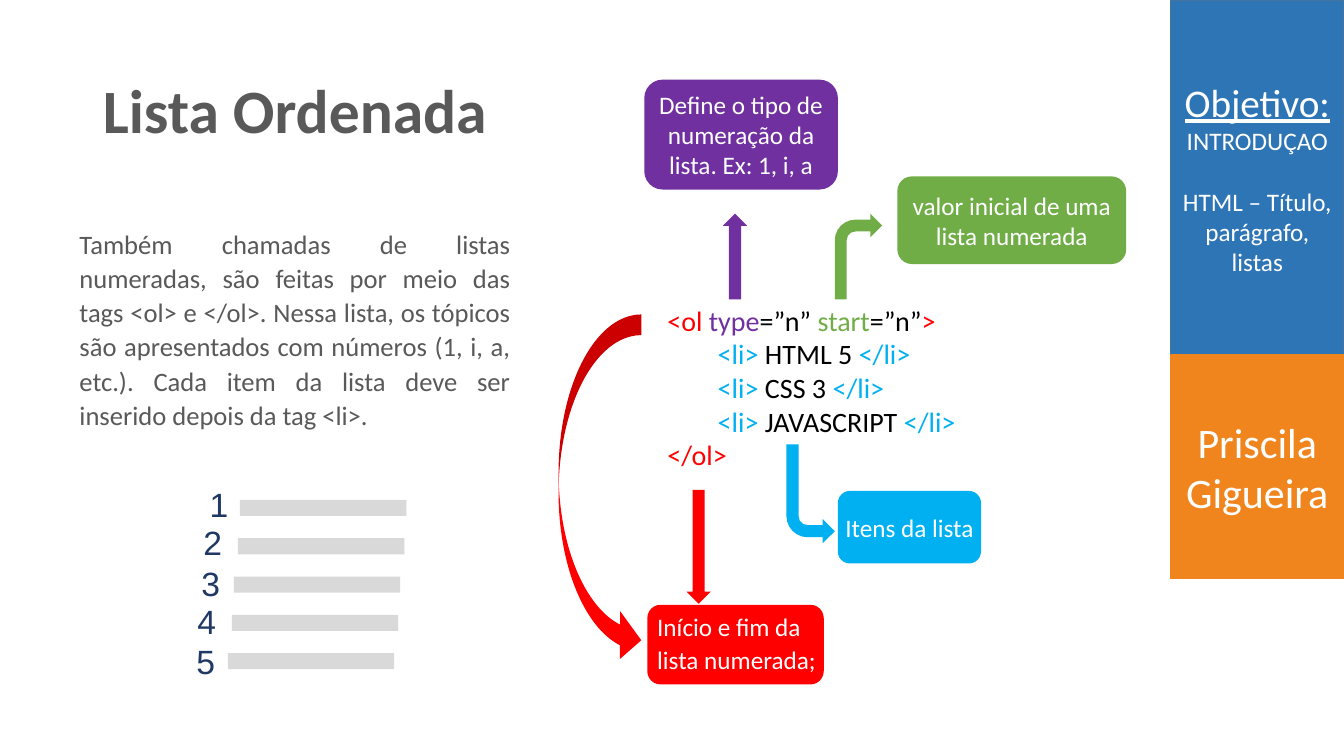
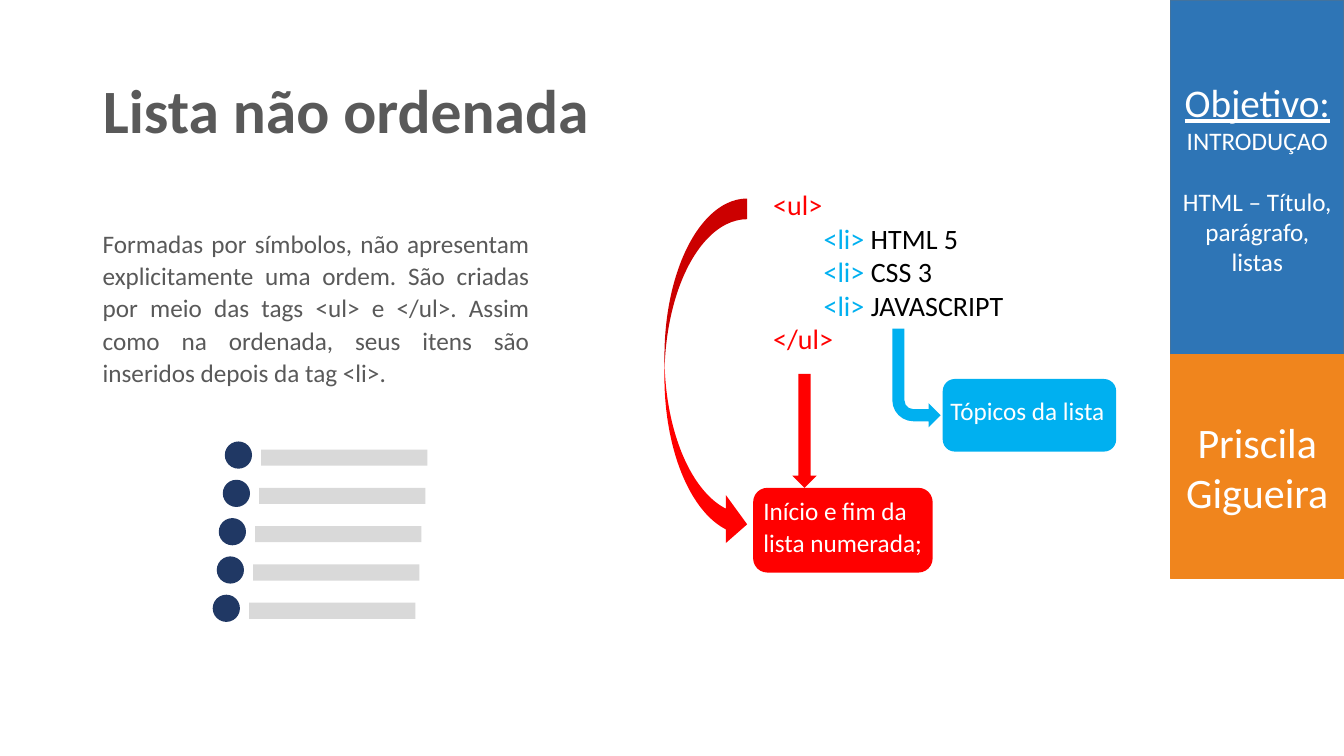
import pptx
import pptx.dml.color
import pptx.enum.shapes
import pptx.enum.text
import pptx.util

SHAPE = pptx.enum.shapes.MSO_SHAPE
ALIGN = pptx.enum.text.PP_ALIGN
ANCHOR = pptx.enum.text.MSO_ANCHOR
EMU_PER_PX = 9144  # 100 px to the inch

FONT = "Calibri"
WHITE, BLACK, GREY, PALE, NAVY = "FFFFFF", "000000", "595959", "D9D9D9", "203864"
RED, CYAN, GREEN, PURPLE = "FF0000", "00B0F0", "70AD47", "7030A0"

# Paragraphs are a string, or a list of (text, colour) runs.
SIDEBAR = [
    dict(box=(1161, 0, 172, 352), fill="2E75B6", line="43739E", parts=[
        ("Objetivo:", dict(size=28, underline=True)),
        ("INTRODUÇAO", dict(size=18)),
        ("HTML – Título, parágrafo, listas", dict(size=18, before=22)),
    ]),
    dict(box=(1161, 352, 172, 222), fill="F0851D", line="F0851D", parts=[
        ("Priscila Gigueira", dict(size=30)),
    ]),
]
TAG_LABEL = "Início e fim da lista numerada;"

ORDERED = dict(
    title="Lista Ordenada",
    body="Também chamadas de listas numeradas, são feitas por meio das tags <ol> e </ol>. "
         "Nessa lista, os tópicos são apresentados com números (1, i, a, etc.). "
         "Cada item da lista deve ser inserido depois da tag <li>.",
    body_box=(69, 219, 447, 214), body_size=19,
    bars_at=(238, 496),
    code_box=(652, 296, 369, 178),
    code=[
        [("<ol ", RED), ("type", PURPLE), ("=”n” ", BLACK), ("start", GREEN),
         ("=”n”", BLACK), (">", RED)],
        [("\t<li>", CYAN), (" HTML 5 ", BLACK), ("</li>", CYAN)],
        [("\t<li> ", CYAN), ("CSS 3 ", BLACK), ("</li>", CYAN)],
        [("\t<li> ", CYAN), ("JAVASCRIPT ", BLACK), ("</li>", CYAN)],
        [("</ol>", RED)],
    ],
    tag_box=(642, 600, 175, 79),
    item_box=(831, 487, 142, 72), item_label="Itens da lista", item_margins=(0, 0, 0, 0),
)
UNORDERED = dict(
    title="Lista não ordenada",
    body="Formadas por símbolos, não apresentam explicitamente uma ordem. "
         "São criadas por meio das tags <ul> e </ul>. Assim como na ordenada, "
         "seus itens são inseridos depois da tag <li>.",
    body_box=(92, 219, 443, 172), body_size=18,
    bars_at=(259, 446),
    code_box=(757, 181, 332, 178),
    code=[
        [("<ul>", RED)],
        [("\t<li>", CYAN), (" HTML 5", BLACK)],
        [("\t<li> ", CYAN), ("CSS 3", BLACK)],
        [("\t<li> ", CYAN), ("JAVASCRIPT", BLACK)],
        [("</ul>", RED)],
    ],
    tag_box=(747, 484, 178, 84),
    item_box=(935, 376, 172, 72), item_label="Tópicos da lista", item_margins=(0, 0, 4, 10),
)

BAR_SHIFTS = (0, 2, 6, 8, 12)
BAR_STEP = 38
NUMBERS = [("1", 198, 475), ("2", 192, 513), ("3", 190, 554), ("4", 186, 591), ("5", 185, 631)]

# Offsets from the top left of the code.
TAG_ARROWS = [
    (SHAPE.DOWN_ARROW, (29, 190, 24, 113), RED, {}),
    (SHAPE.BENT_ARROW, (128, 145, 48, 98), CYAN, dict(flip=True)),
    (SHAPE.CURVED_RIGHT_ARROW, (-98, 16, 82, 347), RED, dict(adjust=(0.25, 0.58, 0.257))),
]
ATTRIBUTE_LABELS = [
    ("valor inicial de uma lista numerada", (890, 175, 227, 87), GREEN),
    ("Define o tipo de numeração da lista. Ex: 1, i, a", (639, 79, 192, 109), PURPLE),
]
ATTRIBUTE_ARROWS = [
    (SHAPE.UP_ARROW, (717, 212, 24, 85), PURPLE),
    (SHAPE.BENT_ARROW, (828, 212, 47, 85), GREEN),
]


def px(value):
    return pptx.util.Emu(value * EMU_PER_PX)


def rgb(value):
    return pptx.dml.color.RGBColor.from_string(value)


def place(shape, box):
    shape.left, shape.top, shape.width, shape.height = map(px, box)


def add_box(slide, kind, box, fill, line=None, adjust=(), flip=False):
    shape = slide.shapes.add_shape(kind, *map(px, box))
    shape.shadow.inherit = False
    shape.fill.solid()
    shape.fill.fore_color.rgb = rgb(fill)
    if line:
        shape.line.color.rgb = rgb(line)
        shape.line.width = pptx.util.Pt(1)
    else:
        shape.line.fill.background()
    for index, value in enumerate(adjust):
        shape.adjustments[index] = value
    if flip:
        shape.element.spPr.get_or_add_xfrm().set("flipV", "1")
    return shape


def write(frame, text, size=18, color=WHITE, font=FONT, bold=False, underline=False,
          align=ALIGN.LEFT, spacing=None, before=None):
    """Add one paragraph, reusing the first one while it is empty."""
    paragraph = frame.paragraphs[0]
    if paragraph.runs:
        paragraph = frame.add_paragraph()
    paragraph.alignment = align
    if spacing:
        paragraph.line_spacing = spacing
    if before:
        paragraph.space_before = pptx.util.Pt(before)
    for words, run_color in [(text, color)] if isinstance(text, str) else text:
        run = paragraph.add_run()
        run.text = words
        run.font.name = font
        run.font.size = pptx.util.Pt(size)
        run.font.bold = bold
        run.font.underline = underline
        run.font.color.rgb = rgb(run_color)


def set_frame(frame, wrap=True, anchor=ANCHOR.MIDDLE, margins=(10, 5, 10, 5)):
    frame.word_wrap = wrap
    frame.vertical_anchor = anchor
    (frame.margin_left, frame.margin_top,
     frame.margin_right, frame.margin_bottom) = map(px, margins)


def add_text(slide, box, paragraphs, wrap=True, **style):
    frame = slide.shapes.add_textbox(*map(px, box)).text_frame
    set_frame(frame, wrap, ANCHOR.TOP)
    for paragraph in paragraphs:
        write(frame, paragraph, **style)


def add_label(slide, box, fill, text, wrap=True, anchor=ANCHOR.MIDDLE,
              margins=(6, 0, 6, 0), **style):
    frame = add_box(slide, SHAPE.ROUNDED_RECTANGLE, box, fill).text_frame
    set_frame(frame, wrap, anchor, margins)
    write(frame, text, **style)


def move_sidebar_to_layout(slide, layout):
    """Draw the side bands once and hand them to the shared layout."""
    for number, band in enumerate(SIDEBAR):
        shape = add_box(slide, SHAPE.RECTANGLE, band["box"], band["fill"], band["line"])
        set_frame(shape.text_frame)
        for text, style in band["parts"]:
            write(shape.text_frame, text, align=ALIGN.CENTER, **style)
        shape.element.nvSpPr.cNvPr.set("id", str(20 + number))
        layout.shapes.element.append(shape.element)


def add_list_slide(presentation, layout, content):
    slide = presentation.slides.add_slide(layout)
    title = slide.shapes.title.text_frame
    title.auto_size = pptx.enum.text.MSO_AUTO_SIZE.NONE
    set_frame(title)
    write(title, content["title"], size=44, color=GREY, bold=True, spacing=0.9)
    add_text(slide, content["body_box"], [content["body"]], size=content["body_size"],
             color=GREY, align=ALIGN.JUSTIFY, spacing=1.07)
    for left, top in bar_positions(content):
        add_box(slide, SHAPE.RECTANGLE, (left, top, 165, 16), PALE)

    add_label(slide, content["tag_box"], RED, TAG_LABEL, anchor=ANCHOR.TOP,
              margins=(6, 1, 0, 0), spacing=1.07)
    add_label(slide, content["item_box"], CYAN, content["item_label"], wrap=False,
              margins=content["item_margins"], align=ALIGN.CENTER)
    add_text(slide, content["code_box"], content["code"], size=20)
    code_left, code_top = content["code_box"][:2]
    for kind, (left, top, width, height), fill, options in TAG_ARROWS:
        add_box(slide, kind, (code_left + left, code_top + top, width, height), fill, **options)
    return slide


def bar_positions(content):
    left, top = content["bars_at"]
    return [(left - shift, top + row * BAR_STEP) for row, shift in enumerate(BAR_SHIFTS)]


def main():
    presentation = pptx.Presentation()
    presentation.slide_width, presentation.slide_height = px(1333), px(750)
    layout = presentation.slide_layouts.get_by_name("Title Only")
    place(layout.placeholders[0], (92, 40, 1016, 145))

    ordered = add_list_slide(presentation, layout, ORDERED)
    move_sidebar_to_layout(ordered, layout)
    for digit, left, top in NUMBERS:
        add_text(ordered, (left, top, 40, 50), [digit], wrap=False,
                 size=24, color=NAVY, font="Arial")
    for text, box, fill in ATTRIBUTE_LABELS:
        add_label(ordered, box, fill, text, align=ALIGN.CENTER)
    for kind, box, fill in ATTRIBUTE_ARROWS:
        add_box(ordered, kind, box, fill)

    unordered = add_list_slide(presentation, layout, UNORDERED)
    for left, top in bar_positions(UNORDERED):
        add_box(unordered, SHAPE.OVAL, (left - 36, top - 8, 27, 27), NAVY)

    presentation.save("out.pptx")


if __name__ == "__main__":
    main()
